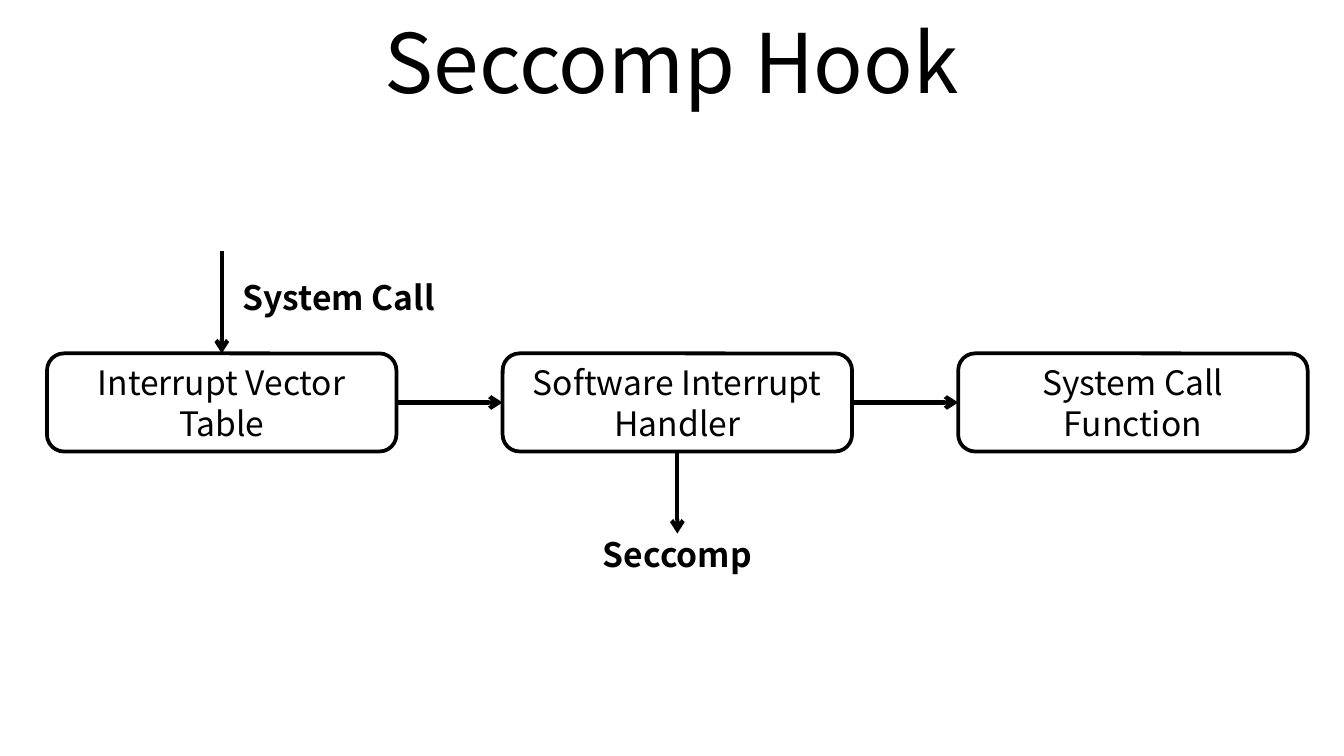
"""Build the Seccomp Hook slide: a system call flow with a hook below it."""
import pptx
import pptx.dml.color
import pptx.enum.shapes
import pptx.enum.text
import pptx.oxml.ns
import pptx.util
from lxml import etree

Inches = pptx.util.Inches
Pt = pptx.util.Pt
BLACK = pptx.dml.color.RGBColor(0, 0, 0)
FONT = "Noto Sans CJK KR"
TOP, LEFT, BOTTOM, RIGHT = range(4)


def write(frame, text, size=18, bold=False):
    frame.word_wrap = True
    frame.auto_size = pptx.enum.text.MSO_AUTO_SIZE.NONE
    frame.vertical_anchor = pptx.enum.text.MSO_ANCHOR.MIDDLE
    paragraph = frame.paragraphs[0]
    paragraph.alignment = pptx.enum.text.PP_ALIGN.CENTER
    run = paragraph.add_run()
    run.text = text
    run.font.name = FONT
    run.font.size = Pt(size)
    run.font.bold = bold
    run.font.color.rgb = BLACK


class FlowSlide:
    """Holds the style and the current slide."""

    corner = 0.173
    box_line = Pt(2)
    arrow_line = Pt(2.25)

    def __init__(self, deck):
        self.slide = deck.slides.add_slide(deck.slide_layouts[5])

    def title(self, text, left, top, width, height):
        heading = self.slide.shapes.title
        heading.left, heading.top = Inches(left), Inches(top)
        heading.width, heading.height = Inches(width), Inches(height)
        write(heading.text_frame, text, size=44)

    def rounded(self, left, top, width, height):
        shape = self.slide.shapes.add_shape(
            pptx.enum.shapes.MSO_SHAPE.ROUNDED_RECTANGLE,
            Inches(left), Inches(top), Inches(width), Inches(height))
        shape.adjustments[0] = self.corner
        shape.shadow.inherit = False
        shape.fill.background()
        return shape

    def box(self, text, left, top, width, height):
        stage = self.rounded(left, top, width, height)
        stage.line.color.rgb = BLACK
        stage.line.width = self.box_line
        write(stage.text_frame, text)
        return stage

    def label(self, text, left, top, width=2.28, height=0.42):
        caption = self.rounded(left, top, width, height)
        caption.line.fill.background()
        write(caption.text_frame, text, bold=True)

    def arrow(self, start, end, source=None, target=None):
        connector = self.slide.shapes.add_connector(
            pptx.enum.shapes.MSO_CONNECTOR.STRAIGHT,
            *map(Inches, start), *map(Inches, end))
        if source:
            connector.begin_connect(*source)
        if target:
            connector.end_connect(*target)
        connector.line.color.rgb = BLACK
        connector.line.width = self.arrow_line
        qn = pptx.oxml.ns.qn
        etree.SubElement(connector.line._get_or_add_ln(), qn("a:tailEnd"), type="arrow")
        etree.SubElement(connector._element.spPr, qn("a:effectLst"))


def main():
    deck = pptx.Presentation()
    deck.slide_width = Inches(10)
    deck.slide_height = deck.slide_width * 9 // 16
    flow = FlowSlide(deck)
    flow.title("Seccomp Hook", 0.5, -0.02, 9, 0.94)

    first, pitch, top, width, height = 0.35, 3.39, 2.63, 2.6, 0.73
    steps = ["Interrupt Vector Table", "Software Interrupt Handler", "System Call Function"]
    lefts = [first + pitch * i for i in range(len(steps))]
    stages = [flow.box(step, left, top, width, height) for step, left in zip(steps, lefts)]

    middle = top + height / 2
    for i in range(len(stages) - 1):
        flow.arrow((lefts[i] + width, middle), (lefts[i + 1], middle),
                   source=(stages[i], RIGHT), target=(stages[i + 1], LEFT))

    vector_table, handler = stages[:2]
    entry_x, hook_x = (left + width / 2 for left in lefts[:2])
    flow.arrow((entry_x, 1.87), (entry_x, top), target=(vector_table, TOP))
    flow.arrow((hook_x, top + height), (hook_x, 3.97), source=(handler, BOTTOM))
    flow.label("System Call", 1.38, 2)
    flow.label("Seccomp", 3.9, 3.91)
    deck.save("out.pptx")


if __name__ == "__main__":
    main()
